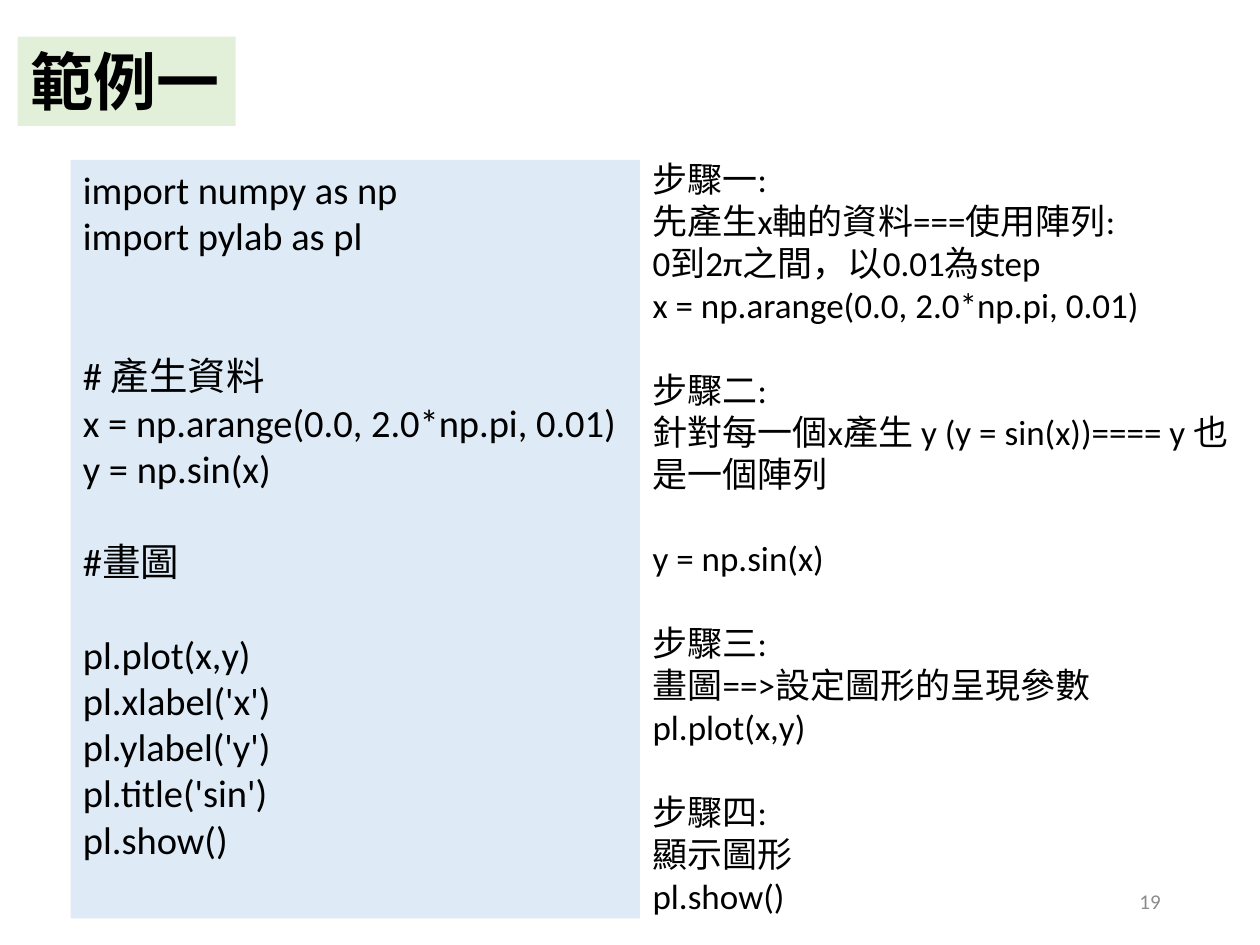
from pptx import Presentation
from pptx.dml.color import RGBColor
from pptx.enum.shapes import MSO_SHAPE
from pptx.enum.text import MSO_ANCHOR, PP_ALIGN
from pptx.util import Pt

FONT = "Calibri"
LINE_HEIGHT = 1.22  # Calibri line height relative to its size

# Content: each block is (blank lines before it, lines)
TITLE = [(0, ["範例一"])]
CODE = [
    (0, ["import numpy as np", "import pylab as pl"]),
    (2, ["# 產生資料", "x = np.arange(0.0, 2.0*np.pi, 0.01)", "y = np.sin(x)"]),
    (1, ["#畫圖"]),
    (1, ["pl.plot(x,y)", "pl.xlabel('x')", "pl.ylabel('y')",
         "pl.title('sin')", "pl.show()"]),
]
STEPS = [
    (0, ["步驟一:", "先產生x軸的資料===使用陣列:", "0到2π之間，以0.01為step",
         "x = np.arange(0.0, 2.0*np.pi, 0.01)"]),
    (1, ["步驟二:", "針對每一個x產生 y (y = sin(x))==== y 也是一個陣列"]),
    (1, ["y = np.sin(x)"]),
    (1, ["步驟三:", "畫圖==>設定圖形的呈現參數", "pl.plot(x,y)"]),
    (1, ["步驟四:", "顯示圖形", "pl.show()"]),
]
PAGE_NUMBER = [(0, ["19"])]


def rgb(value):
    return RGBColor.from_string(value)


def write(frame, blocks, size, color="000000", bold=False,
          align=PP_ALIGN.LEFT, anchor=MSO_ANCHOR.TOP):
    frame.word_wrap = True
    frame.vertical_anchor = anchor
    paragraph = None
    for blank_lines, lines in blocks:
        for index, line in enumerate(lines):
            paragraph = frame.add_paragraph() if paragraph else frame.paragraphs[0]
            paragraph.alignment = align
            if index == 0 and blank_lines:
                paragraph.space_before = Pt(round(blank_lines * size * LINE_HEIGHT, 1))
            run = paragraph.add_run()
            run.text = line
            run.font.name = FONT
            run.font.size = Pt(size)
            run.font.bold = bold
            run.font.color.rgb = rgb(color)


def add_panel(slide, box, fill):
    panel = slide.shapes.add_shape(MSO_SHAPE.RECTANGLE, *map(Pt, box))
    panel.shadow.inherit = False
    panel.fill.solid()
    panel.fill.fore_color.rgb = rgb(fill)
    panel.line.fill.background()
    return panel.text_frame


def add_text(slide, box):
    return slide.shapes.add_textbox(*map(Pt, box)).text_frame


def main():
    deck = Presentation()
    deck.slide_width, deck.slide_height = Pt(720), Pt(540)
    slide = deck.slides.add_slide(deck.slide_layouts[6])

    # Title tag
    title = add_panel(slide, (10.1, 20.9, 124.6, 51.1), "E2F0D9")
    write(title, TITLE, 36, bold=True)

    # Code listing, with the steps beside it
    code = add_panel(slide, (40.3, 91.4, 325.4, 433.4), "DEEBF7")
    write(code, CODE, 22)
    steps = add_text(slide, (365.8, 86.4, 347.8, 443.5))
    write(steps, STEPS, 20)

    # Page number
    page_number = add_text(slide, (508.3, 500.4, 162, 28.8))
    write(page_number, PAGE_NUMBER, 12, "8C8C8C",
          align=PP_ALIGN.RIGHT, anchor=MSO_ANCHOR.MIDDLE)

    deck.save("out.pptx")


if __name__ == "__main__":
    main()
